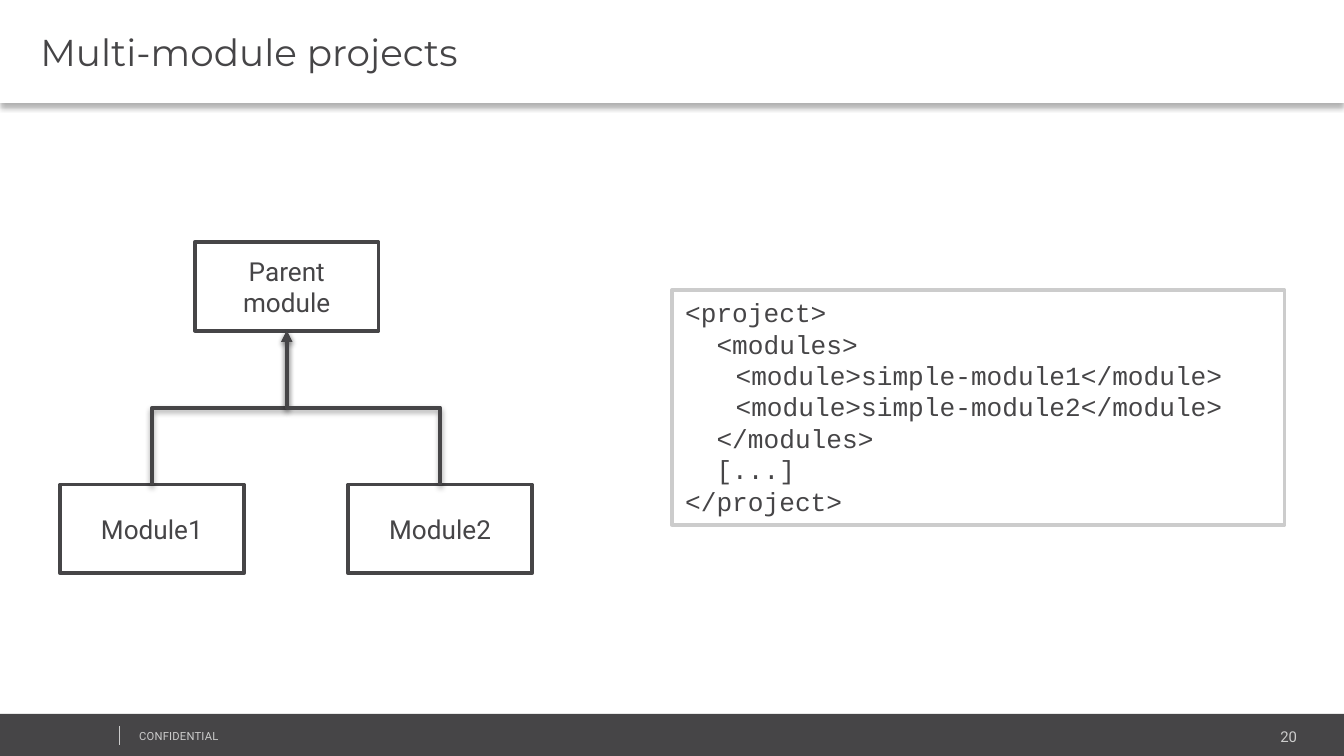
from dataclasses import dataclass

from lxml.etree import SubElement
from pptx import Presentation
from pptx.dml.color import RGBColor
from pptx.enum.shapes import MSO_CONNECTOR, MSO_SHAPE
from pptx.enum.text import MSO_ANCHOR, PP_ALIGN
from pptx.oxml.ns import qn
from pptx.util import Pt


@dataclass(frozen=True)
class Theme:
    dark: RGBColor = RGBColor(0x46, 0x45, 0x47)
    light: RGBColor = RGBColor(0xCC, 0xCC, 0xCC)
    white: RGBColor = RGBColor(0xFF, 0xFF, 0xFF)
    heading: str = "Montserrat"
    body: str = "Roboto"
    code: str = "Courier New"
    title_size: int = 20
    body_size: int = 14
    number_size: int = 8
    small_size: int = 6
    stroke: float = 2


THEME = Theme()
WIDTH, HEIGHT = 720, 405


def write(frame, lines, size, font, color, align=PP_ALIGN.LEFT,
          anchor=MSO_ANCHOR.TOP, left_inset=7.2, spacing=None):
    """Fill the frame with (left indent, text) lines."""
    settings = {"word_wrap": True, "vertical_anchor": anchor,
                "margin_left": Pt(left_inset), "margin_right": Pt(7.2),
                "margin_top": Pt(3.6), "margin_bottom": Pt(3.6)}
    for name, value in settings.items():
        setattr(frame, name, value)
    for index, (indent, text) in enumerate(lines):
        paragraph = frame.add_paragraph() if index else frame.paragraphs[0]
        paragraph.alignment = align
        if indent:
            properties = paragraph._p.get_or_add_pPr()
            properties.set("marL", str(Pt(indent)))
            properties.set("indent", "0")
        run = paragraph.add_run()
        run.text = text
        run.font.color.rgb = color
        for name, value in {"size": Pt(size), "name": font}.items():
            setattr(run.font, name, value)
        if spacing:
            run._r.get_or_add_rPr().set("spc", str(int(spacing * 100)))


def add_box(slide, box, fill, outline=None):
    shape = slide.shapes.add_shape(MSO_SHAPE.RECTANGLE, *map(Pt, box))
    shape.shadow.inherit = False
    shape.fill.solid()
    shape.fill.fore_color.rgb = fill
    if outline is None:
        shape.line.fill.background()
    else:
        shape.line.color.rgb = outline
        shape.line.width = Pt(THEME.stroke)
    return shape


def add_label(slide, box, text, **style):
    frame = slide.shapes.add_textbox(*map(Pt, box)).text_frame
    write(frame, [(0, text)], **style)


def add_line(slide, kind, begin, end, color, width):
    line = slide.shapes.add_connector(kind, *map(Pt, (*begin, *end)))
    line.line.color.rgb = color
    line.line.width = Pt(width)
    SubElement(line._element.spPr, qn("a:effectLst"))
    return line


def cast_shadow(shape, distance, opacity):
    """Drop a soft black shadow straight down."""
    effects = shape._element.spPr.find(qn("a:effectLst"))
    shadow = SubElement(effects, qn("a:outerShdw"), blurRad=str(Pt(3.1)),
                        dist=str(Pt(distance)), dir="5400000", rotWithShape="0")
    black = SubElement(shadow, qn("a:srgbClr"), val="000000")
    SubElement(black, qn("a:alpha"), val=str(opacity * 1000))


def add_footer(slide, box, notice, number):
    left, top, width, height = box
    add_box(slide, box, THEME.dark)
    add_label(slide, (left + 584.6, top + 3.6, 117.4, 15.1), number,
              size=THEME.number_size, font=THEME.body, color=THEME.light,
              align=PP_ALIGN.RIGHT)
    add_label(slide, (left + 67.5, top + 5, 182.2, 13), notice,
              size=THEME.small_size, font=THEME.body, color=THEME.light,
              spacing=0.1)
    add_line(slide, MSO_CONNECTOR.STRAIGHT, (left + 64, top + 6.5),
             (left + 64, top + 16.5), THEME.light, 0.25)


def add_header(slide, box, title):
    header = add_box(slide, box, THEME.white)
    cast_shadow(header, distance=2, opacity=30)
    write(header.text_frame, [(0, title)], THEME.title_size, THEME.heading,
          THEME.dark, anchor=MSO_ANCHOR.MIDDLE, left_inset=21.6)


def add_code(slide, box, lines):
    panel = add_box(slide, box, THEME.white, THEME.light)
    write(panel.text_frame, lines, THEME.body_size, THEME.code, THEME.dark)


def add_inheritance_arrow(slide, child, parent):
    """Draw an elbow that leaves the child upwards and enters the parent."""
    (child_x, child_y), (parent_x, parent_y) = child, parent
    side = 1 if child_x < parent_x else -1
    middle_x, middle_y = (child_x + parent_x) / 2, (child_y + parent_y) / 2
    # The elbow is laid out sideways, then turned about its centre.
    along = side * (child_y - parent_y) / 2
    across = abs(parent_x - child_x) / 2
    arrow = add_line(slide, MSO_CONNECTOR.ELBOW,
                     (middle_x + along, middle_y + across),
                     (middle_x - along, middle_y - across),
                     THEME.dark, THEME.stroke)
    properties = arrow._element.spPr
    turn = 180 - 90 * side
    properties.find(qn("a:xfrm")).set("rot", str(turn * 60000))
    SubElement(properties.find(qn("a:ln")), qn("a:tailEnd"), type="triangle")
    cast_shadow(arrow, distance=1.6, opacity=38)


def add_module_tree(slide, box, parent, children):
    left, top, width, height = box
    node_width, node_height = 98.4, 47.6
    parent_left = left + 72.2
    child_top = top + height - node_height
    step = (width - node_width) / (len(children) - 1)
    child_lefts = [left + index * step for index in range(len(children))]
    nodes = [(parent_left, top, parent)]
    nodes += [(x, child_top, name) for x, name in zip(child_lefts, children)]
    for x, y, name in nodes:
        node = add_box(slide, (x, y, node_width, node_height),
                       THEME.white, THEME.dark)
        write(node.text_frame, [(0, name)], THEME.body_size, THEME.body,
              THEME.dark, PP_ALIGN.CENTER, MSO_ANCHOR.MIDDLE)
    for x in child_lefts:
        add_inheritance_arrow(slide, (x + node_width / 2, child_top),
                              (parent_left + node_width / 2, top + node_height))


def main():
    presentation = Presentation()
    presentation.slide_width, presentation.slide_height = Pt(WIDTH), Pt(HEIGHT)
    slide = presentation.slides.add_slide(presentation.slide_layouts[6])
    add_footer(slide, (0, 382.4, WIDTH, 23.6), "CONFIDENTIAL", "20")
    add_header(slide, (0, 0, WIDTH, 55.2), "Multi-module projects")
    add_code(slide, (360, 155.4, 328.2, 125.8), [
        (0, "<project>"),
        (16.8, "<modules>"),
        (27, "<module>simple-module1</module>"),
        (27, "<module>simple-module2</module>"),
        (16.8, "</modules>"),
        (16.8, "[...]"),
        (0, "</project>"),
    ])
    add_module_tree(slide, (32.2, 129.6, 252.8, 177.6),
                    "Parent module", ["Module1", "Module2"])
    presentation.save("out.pptx")


if __name__ == "__main__":
    main()
